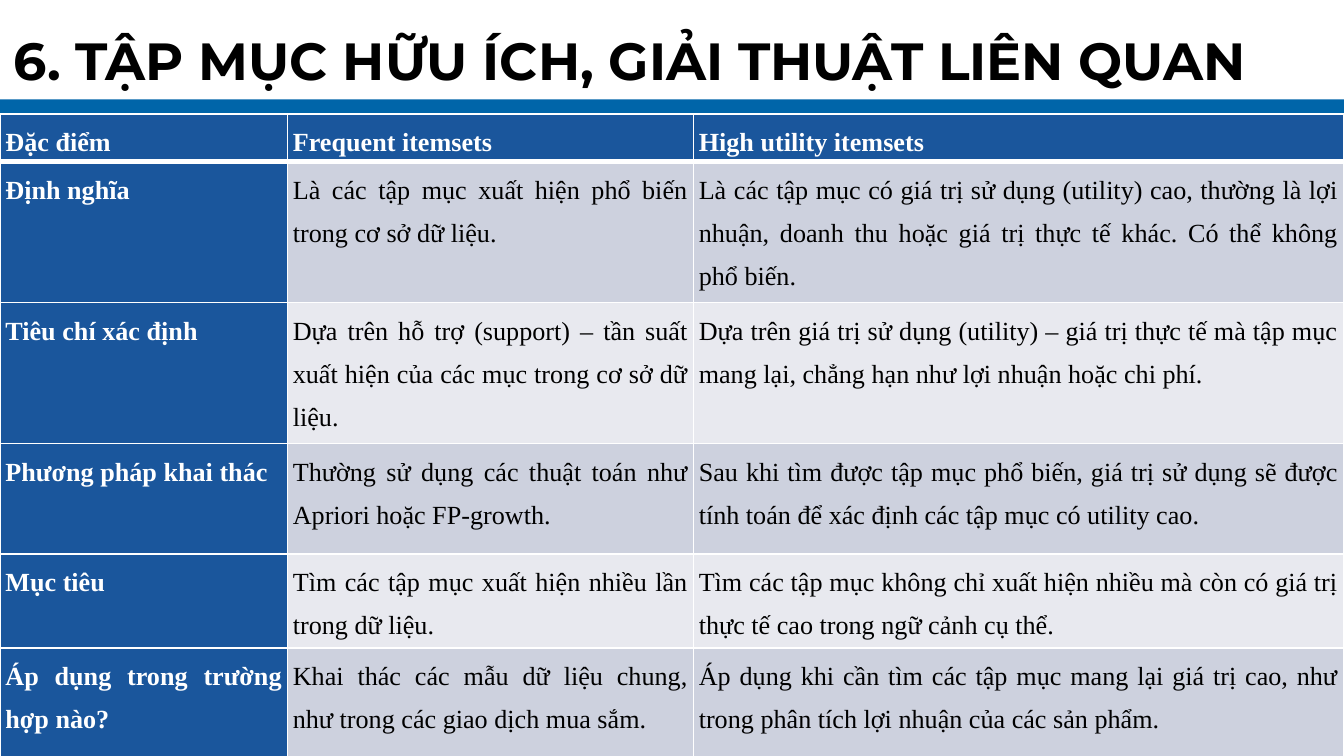
from pptx import Presentation
from pptx.dml.color import RGBColor
from pptx.enum.shapes import MSO_SHAPE
from pptx.enum.text import MSO_ANCHOR, MSO_AUTO_SIZE, PP_ALIGN
from pptx.oxml.ns import qn
from pptx.util import Pt
from lxml.etree import SubElement

BLACK = RGBColor(0x00, 0x00, 0x00)
WHITE = RGBColor(0xFF, 0xFF, 0xFF)
BAR_BLUE = RGBColor(0x00, 0x65, 0xA9)
HEAD_BLUE = RGBColor(0x1A, 0x56, 0x9C)
BANDS = (RGBColor(0xE8, 0xE9, 0xEF), RGBColor(0xCD, 0xD1, 0xDE))

SLIDE_W, SLIDE_H = 720, 405
BAR_H = 8
TABLE_TOP = 61.2
COL_WIDTHS = (154, 217.5, 348.5)
ROW_HEIGHTS = (22.3, 73.4, 72, 59, 48.2, 60.5)

ROWS = (
    ("Đặc điểm", "Frequent itemsets", "High utility itemsets"),
    ("Định nghĩa",
     "Là các tập mục xuất hiện phổ biến trong cơ sở dữ liệu.",
     "Là các tập mục có giá trị sử dụng (utility) cao, thường là lợi nhuận, "
     "doanh thu hoặc giá trị thực tế khác. Có thể không phổ biến."),
    ("Tiêu chí xác định",
     "Dựa trên hỗ trợ (support) – tần suất xuất hiện của các mục trong cơ sở dữ liệu.",
     "Dựa trên giá trị sử dụng (utility) – giá trị thực tế mà tập mục mang lại, "
     "chẳng hạn như lợi nhuận hoặc chi phí."),
    ("Phương pháp khai thác",
     "Thường sử dụng các thuật toán như Apriori hoặc FP-growth.",
     "Sau khi tìm được tập mục phổ biến, giá trị sử dụng sẽ được tính toán "
     "để xác định các tập mục có utility cao."),
    ("Mục tiêu",
     "Tìm các tập mục xuất hiện nhiều lần trong dữ liệu.",
     "Tìm các tập mục không chỉ xuất hiện nhiều mà còn có giá trị thực tế cao "
     "trong ngữ cảnh cụ thể."),
    ("Áp dụng trong trường hợp nào?",
     "Khai thác các mẫu dữ liệu chung, như trong các giao dịch mua sắm.",
     "Áp dụng khi cần tìm các tập mục mang lại giá trị cao, như trong phân tích "
     "lợi nhuận của các sản phẩm."),
)


class SlideBuilder:
    title_font, title_size = "Montserrat", 28
    body_font, body_size = "Times New Roman", 14

    def __init__(self, slide):
        self.slide = slide

    def run(self, p, text, font, size, color, bold):
        r = p.add_run()
        r.text = text
        r.font.name, r.font.size, r.font.bold = font, Pt(size), bold
        r.font.color.rgb = color

    def title(self, text, x, y, w, h):
        sp = self.slide.shapes.title
        sp.left, sp.top, sp.width, sp.height = Pt(x), Pt(y), Pt(w), Pt(h)
        tf = sp.text_frame
        tf.word_wrap = True
        tf.auto_size = MSO_AUTO_SIZE.SHAPE_TO_FIT_TEXT
        tf.vertical_anchor = MSO_ANCHOR.TOP
        p = tf.paragraphs[0]
        p.alignment = PP_ALIGN.LEFT
        self.run(p, text, self.title_font, self.title_size, BLACK, True)

    def bar(self, y):
        sp = self.slide.shapes.add_shape(
            MSO_SHAPE.RECTANGLE, 0, Pt(y), Pt(SLIDE_W), Pt(BAR_H))
        sp.shadow.inherit = False
        sp.fill.solid()
        sp.fill.fore_color.rgb = BAR_BLUE
        sp.line.fill.background()

    def borders(self, cell, top, bottom):
        """Draw white cell edges; top and bottom are widths in points."""
        tc_pr = cell._tc.get_or_add_tcPr()
        for side, width in (("L", 1), ("R", 1), ("T", top), ("B", bottom)):
            ln = SubElement(tc_pr, qn(f"a:ln{side}"), w=str(Pt(width)))
            fill = SubElement(ln, qn("a:solidFill"))
            SubElement(fill, qn("a:srgbClr"), val=str(WHITE))

    def cell(self, cell, text, fill, color, bold):
        cell.margin_left = cell.margin_right = Pt(2.9)
        cell.margin_top = cell.margin_bottom = 0
        cell.fill.solid()
        cell.fill.fore_color.rgb = fill
        p = cell.text_frame.paragraphs[0]
        p.alignment = PP_ALIGN.JUSTIFY
        p.line_spacing = 1.5
        self.run(p, text, self.body_font, self.body_size, color, bold)

    def table(self, rows, y):
        table = self.slide.shapes.add_table(
            len(rows), len(COL_WIDTHS), 0, Pt(y),
            Pt(SLIDE_W), Pt(sum(ROW_HEIGHTS))).table
        for column, width in zip(table.columns, COL_WIDTHS):
            column.width = Pt(width)
        for i, (row, height) in enumerate(zip(rows, ROW_HEIGHTS)):
            table.rows[i].height = Pt(height)
            for j, text in enumerate(row):
                cell = table.cell(i, j)
                self.borders(cell, 3 if i == 1 else 1, 3 if i == 0 else 1)
                if i == 0 or j == 0:
                    self.cell(cell, text, HEAD_BLUE, WHITE, True)
                else:
                    self.cell(cell, text, BANDS[i % 2], BLACK, False)


def main():
    prs = Presentation()
    prs.slide_width, prs.slide_height = Pt(SLIDE_W), Pt(SLIDE_H)
    s = SlideBuilder(prs.slides.add_slide(prs.slide_layouts[5]))
    s.bar(SLIDE_H - BAR_H)
    s.bar(TABLE_TOP - BAR_H)
    s.title("6. TẬP MỤC HỮU ÍCH, GIẢI THUẬT LIÊN QUAN", 0, 11.5, 733.7, 74.9)
    s.table(ROWS, TABLE_TOP)
    prs.save("out.pptx")


if __name__ == "__main__":
    main()
